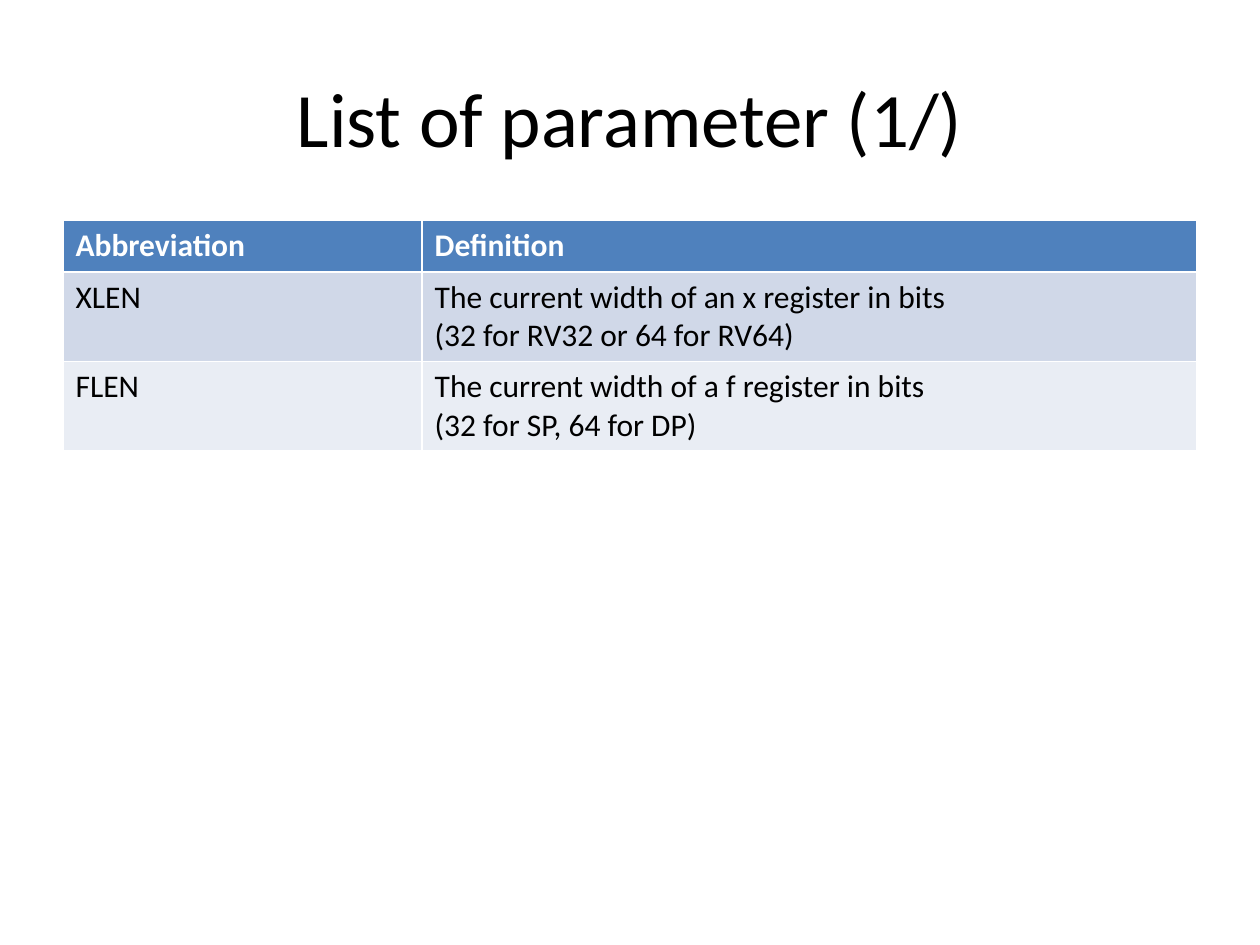
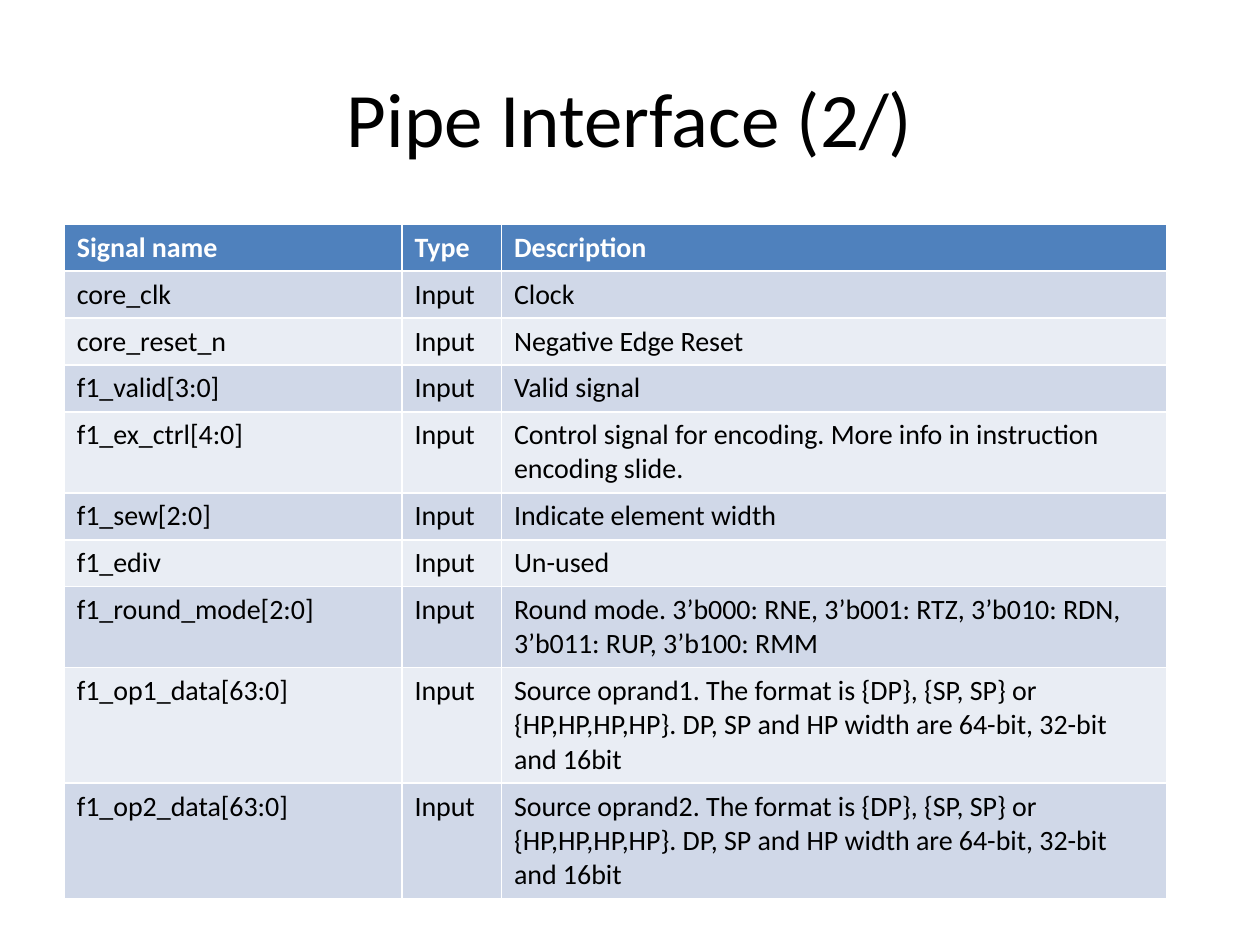
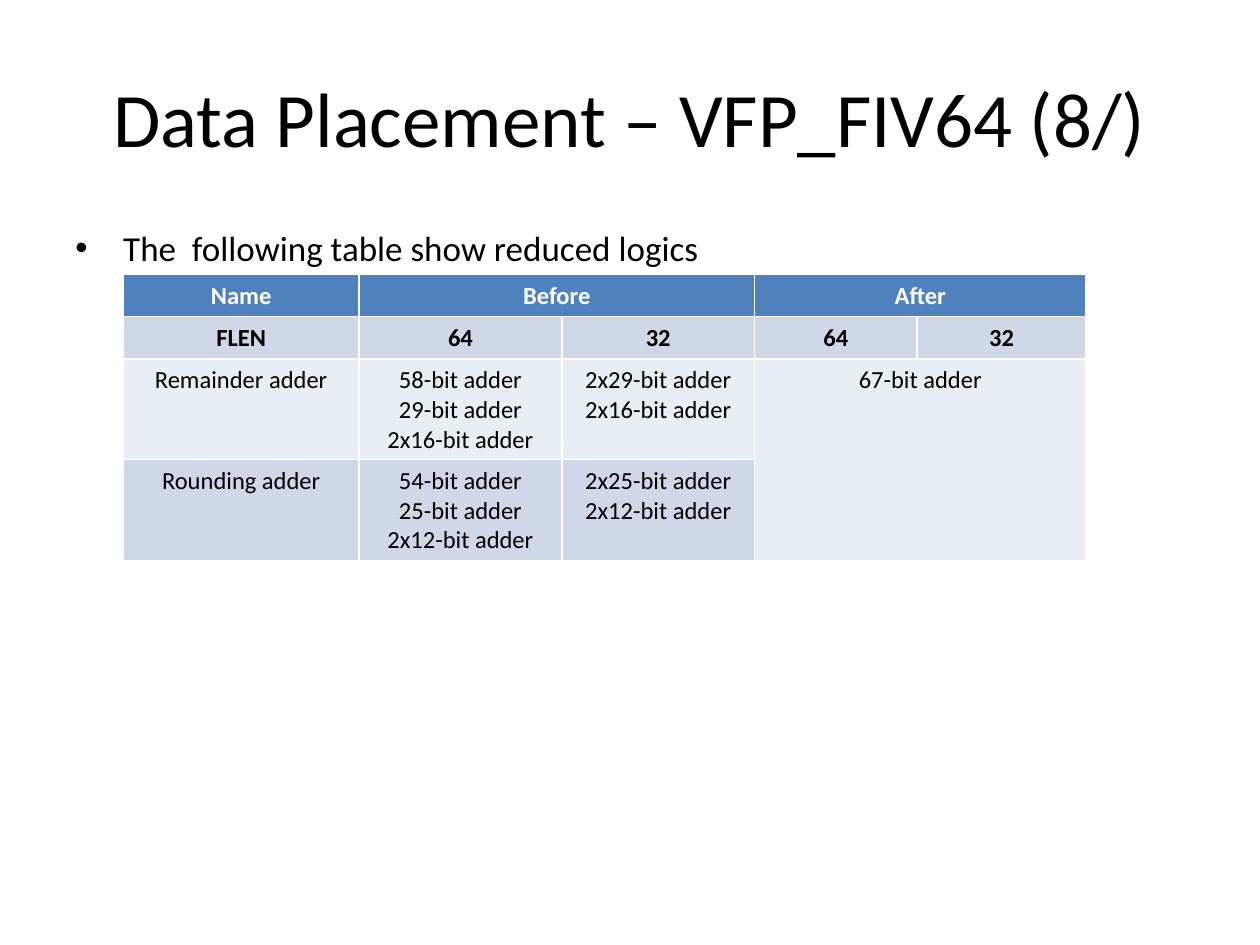
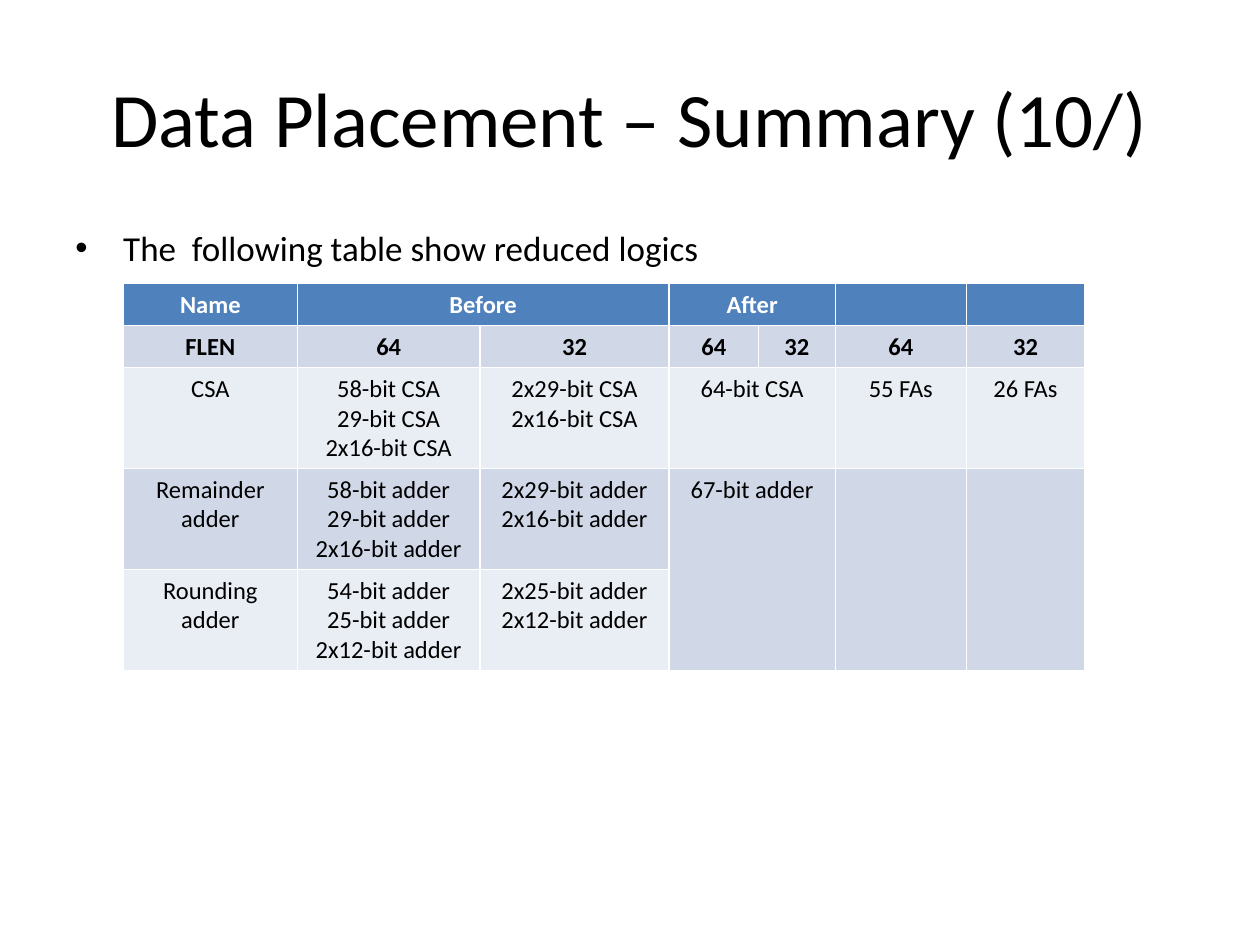
"""Build four slides that list parameters, pipe signals and reduced logic in tables."""
from dataclasses import dataclass
from typing import Any

from lxml.etree import SubElement
from pptx import Presentation
from pptx.dml.color import RGBColor
from pptx.enum.text import MSO_ANCHOR, PP_ALIGN
from pptx.oxml.ns import qn
from pptx.presentation import Presentation as PresentationType
from pptx.slide import Slide
from pptx.util import Inches, Pt

SLIDE_WIDTH, SLIDE_HEIGHT = Inches(10), Inches(7.5)
GRID_COLUMNS, GRID_ROWS = 100, 75
FONT_NAME = "Calibri"
COLORS = {
    "text": "000000",
    "header_text": "FFFFFF",
    "header": "4F81BD",
    "odd_band": "D0D8E8",
    "even_band": "E9EDF4",
}
TITLE_SIZE, BULLET_SIZE = 44, 20
BULLET_INDENT = Inches(0.38)
REDUCED_LOGIC = "The  following table show reduced logics"


@dataclass(frozen=True)
class Area:
    """A rectangle in grid columns and rows."""
    left: float
    top: float
    width: float
    height: float


@dataclass(frozen=True)
class Merge:
    """A merged cell block with its first row and column and its extent."""
    row: int
    column: int
    rows: int
    columns: int


@dataclass(frozen=True)
class TableSpec:
    """Contents and layout of one table."""
    left: float
    top: float
    column_widths: tuple[float, ...]
    row_heights: tuple[float, ...]
    cells: list[tuple[str, ...]]
    size: int
    alignment: PP_ALIGN = PP_ALIGN.LEFT
    bold_rows: int = 1
    merges: tuple[Merge, ...] = ()


@dataclass(frozen=True)
class SlideSpec:
    """A title, its table and an optional bullet."""
    title: str
    table: TableSpec
    bullet: str = ""


TITLE_AREA = Area(5, 3, 90, 12.5)
BULLET_AREA = Area(5, 17.5, 90, 49.5)

REMAINDER_ADDERS = (
    "58-bit adder\n29-bit adder\n2x16-bit adder",
    "2x29-bit adder\n2x16-bit adder",
    "67-bit adder",
)
ROUNDING_ADDERS = (
    "54-bit adder\n25-bit adder\n2x12-bit adder",
    "2x25-bit adder\n2x12-bit adder",
)
INPUT_SIGNALS = [
    ("core_clk", "Clock"),
    ("core_reset_n", "Negative Edge Reset"),
    ("f1_valid[3:0]", "Valid signal"),
    ("f1_ex_ctrl[4:0]", "Control signal for encoding. More info in instruction encoding slide."),
    ("f1_sew[2:0]", "Indicate element width"),
    ("f1_ediv", "Un-used"),
    ("f1_round_mode[2:0]",
     "Round mode. 3’b000: RNE, 3’b001: RTZ, 3’b010: RDN, 3’b011: RUP, 3’b100: RMM"),
] + [
    (f"f1_op{number}_data[63:0]",
     f"Source oprand{number}. The format is {{DP}}, {{SP, SP}} or {{HP,HP,HP,HP}}. "
     "DP, SP and HP width are 64-bit, 32-bit and 16bit")
    for number in (1, 2)
]

SLIDES = [
    SlideSpec("List of parameter (1/)", TableSpec(
        left=5, top=17.5, size=18,
        column_widths=(28.5, 61.5),
        row_heights=(4.1,) * 3,
        cells=[
            ("Abbreviation", "Definition"),
            ("XLEN", "The current width of an x register in bits\n(32 for RV32 or 64 for RV64)"),
            ("FLEN", "The current width of a f register in bits\n(32 for SP, 64 for DP)"),
        ],
    )),
    SlideSpec("Pipe Interface (2/)", TableSpec(
        left=5.1, top=17.8, size=16,
        column_widths=(26.8, 7.9, 52.8),
        row_heights=(2.5,) * 10,
        cells=[("Signal name", "Type", "Description")]
        + [(name, "Input", description) for name, description in INPUT_SIGNALS],
    )),
    SlideSpec("Data Placement – VFP_FIV64 (8/)", TableSpec(
        left=9.8, top=21.8, size=14, alignment=PP_ALIGN.CENTER, bold_rows=2,
        column_widths=(18.7, 16.1, 15.3, 12.9, 13.4),
        row_heights=(3.2, 3.2, 7.8, 7.8),
        cells=[
            ("Name", "Before", "", "After", ""),
            ("FLEN", "64", "32", "64", "32"),
            ("Remainder adder", *REMAINDER_ADDERS, ""),
            ("Rounding adder", *ROUNDING_ADDERS, "", ""),
        ],
        merges=(Merge(0, 1, 1, 2), Merge(0, 3, 1, 2), Merge(2, 3, 2, 2)),
    ), REDUCED_LOGIC),
    SlideSpec("Data Placement – Summary (10/)", TableSpec(
        left=9.8, top=22.5, size=14, alignment=PP_ALIGN.CENTER, bold_rows=2,
        column_widths=(13.8, 14.5, 15, 7.1, 6.1, 10.4, 9.4),
        row_heights=(3.2, 3.2, 3.2, 7.8, 7.8),
        cells=[
            ("Name", "Before", "", "After", "", "", ""),
            ("FLEN", "64", "32", "64", "32", "64", "32"),
            ("CSA", "58-bit CSA\n29-bit CSA\n2x16-bit CSA", "2x29-bit CSA\n2x16-bit CSA",
             "64-bit CSA", "", "55 FAs", "26 FAs"),
            ("Remainder adder", *REMAINDER_ADDERS, "", "", ""),
            ("Rounding adder", *ROUNDING_ADDERS, "", "", "", ""),
        ],
        merges=(Merge(0, 1, 1, 2), Merge(0, 3, 1, 2), Merge(2, 3, 1, 2),
                Merge(3, 3, 2, 2), Merge(3, 5, 2, 1), Merge(3, 6, 2, 1)),
    ), REDUCED_LOGIC),
]


def across(columns: float) -> int:
    """Convert grid columns to a length."""
    return round(SLIDE_WIDTH * columns / GRID_COLUMNS)


def down(rows: float) -> int:
    """Convert grid rows to a length."""
    return round(SLIDE_HEIGHT * rows / GRID_ROWS)


def area_lengths(area: Area) -> dict[str, int]:
    """Return the position and size of an area as lengths."""
    return {"left": across(area.left), "top": down(area.top),
            "width": across(area.width), "height": down(area.height)}


def set_attributes(target: Any, values: dict[str, Any]) -> None:
    """Set every named value on the target."""
    for name, value in values.items():
        setattr(target, name, value)


def format_text(text_frame: Any, size: int, color: str, alignment: PP_ALIGN,
                bold: bool = False) -> None:
    """Format all paragraphs of a text frame, empty ones included."""
    for paragraph in text_frame.paragraphs:
        paragraph.alignment = alignment
        for run in paragraph.runs:
            set_attributes(run.font, {"name": FONT_NAME, "size": Pt(size), "bold": bold})
            run.font.color.rgb = RGBColor.from_string(COLORS[color])
        if not paragraph.runs:
            SubElement(paragraph._p, qn("a:endParaRPr"), sz=str(size * 100))


def add_title(slide: Slide, text: str) -> None:
    """Place and format the title placeholder."""
    title = slide.shapes.title
    set_attributes(title, area_lengths(TITLE_AREA))
    set_attributes(title.text_frame, {
        "text": text, "word_wrap": True, "vertical_anchor": MSO_ANCHOR.MIDDLE})
    format_text(title.text_frame, TITLE_SIZE, "text", PP_ALIGN.CENTER)


def add_bullet(slide: Slide, text: str) -> None:
    """Add a text box with one bulleted paragraph."""
    text_frame = slide.shapes.add_textbox(**area_lengths(BULLET_AREA)).text_frame
    set_attributes(text_frame, {"text": text, "word_wrap": True})
    properties = text_frame.paragraphs[0]._p.get_or_add_pPr()
    properties.set("marL", str(BULLET_INDENT))
    properties.set("indent", str(-BULLET_INDENT))
    SubElement(properties, qn("a:buFont"), typeface="Arial")
    SubElement(properties, qn("a:buChar"), char="•")
    format_text(text_frame, BULLET_SIZE, "text", PP_ALIGN.LEFT)


def row_fill(row_index: int) -> str:
    """Name the fill colour of a table row."""
    if row_index == 0:
        return "header"
    return "odd_band" if row_index % 2 else "even_band"


def add_table(slide: Slide, spec: TableSpec) -> None:
    """Add a table with a header, banded rows and merged cells."""
    area = Area(spec.left, spec.top, sum(spec.column_widths), sum(spec.row_heights))
    table = slide.shapes.add_table(
        len(spec.row_heights), len(spec.column_widths), **area_lengths(area)).table
    for column, width in zip(table.columns, spec.column_widths):
        column.width = across(width)
    for row, height in zip(table.rows, spec.row_heights):
        row.height = down(height)
    for row_index, texts in enumerate(spec.cells):
        for column_index, text in enumerate(texts):
            cell = table.cell(row_index, column_index)
            cell.text = text
            cell.fill.solid()
            cell.fill.fore_color.rgb = RGBColor.from_string(COLORS[row_fill(row_index)])
            format_text(cell.text_frame, spec.size, "text" if row_index else "header_text",
                        spec.alignment, row_index < spec.bold_rows)
    for merge in spec.merges:
        last_cell = table.cell(merge.row + merge.rows - 1, merge.column + merge.columns - 1)
        table.cell(merge.row, merge.column).merge(last_cell)


def add_slide(presentation: PresentationType, spec: SlideSpec) -> None:
    """Add one slide on the title-only layout."""
    slide = presentation.slides.add_slide(presentation.slide_layouts.get_by_name("Title Only"))
    add_title(slide, spec.title)
    if spec.bullet:
        add_bullet(slide, spec.bullet)
    add_table(slide, spec.table)


def main() -> None:
    """Build and save the presentation."""
    presentation = Presentation()
    set_attributes(presentation, {"slide_width": SLIDE_WIDTH, "slide_height": SLIDE_HEIGHT})
    for spec in SLIDES:
        add_slide(presentation, spec)
    presentation.save("out.pptx")


if __name__ == "__main__":
    main()
